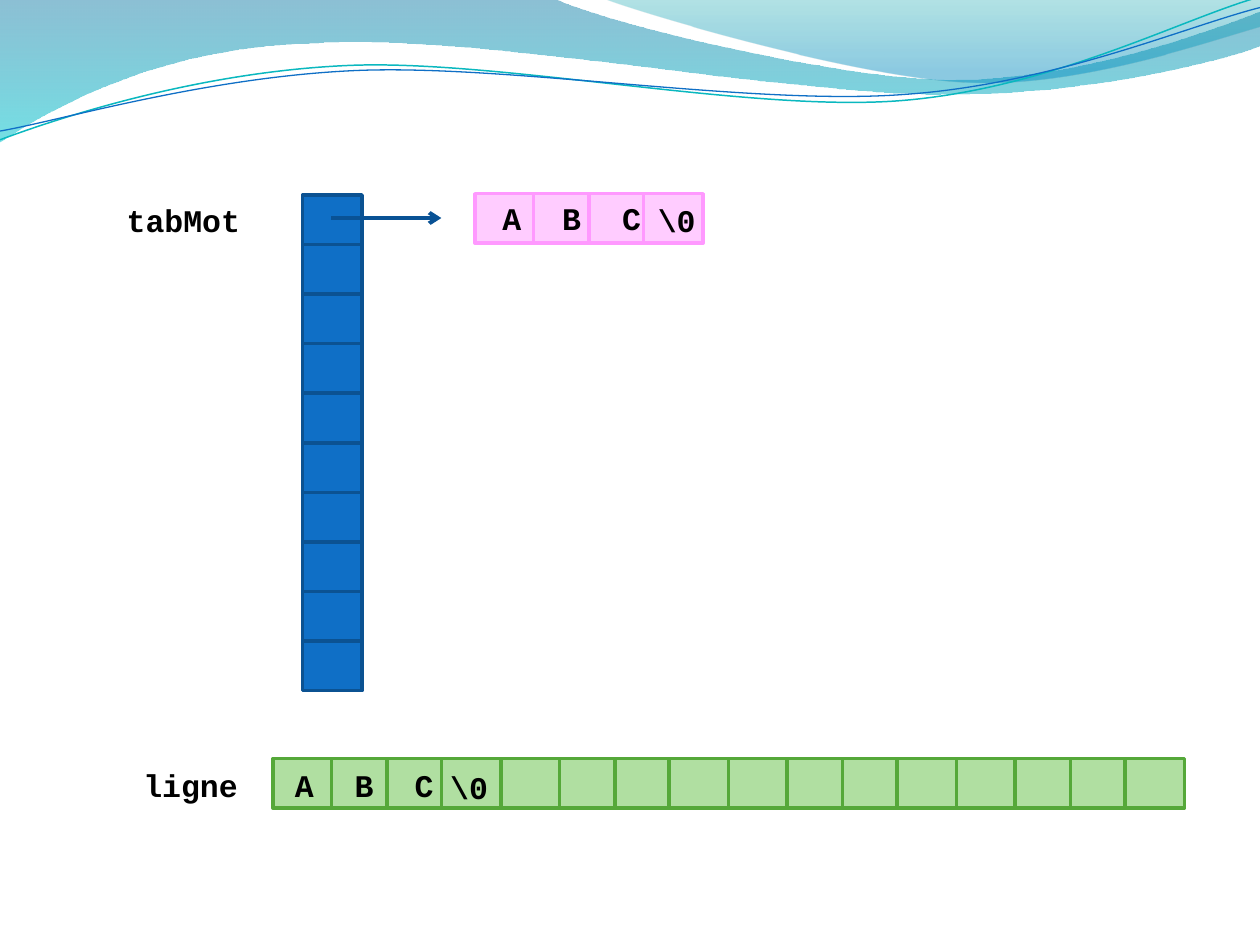
import math
from dataclasses import dataclass

from lxml import etree
from pptx import Presentation
from pptx.dml.color import RGBColor
from pptx.enum import shapes, text
from pptx.oxml import ns
from pptx.util import Pt


@dataclass(frozen=True)
class Theme:
    font: str = "Courier New"
    size: float = 18
    ink: str = "000000"
    border: float = 2
    pointers: tuple = ("0F6FC6", "0B5292")
    word: tuple = ("FFCCFF", "FF99FF")
    line: tuple = ("B0DFA1", "55A839")
    arrow: str = "095295"
    # Gradient stops: position, colour, opacity in percent
    wide_wave: tuple = ((0, "0074A1", 45), (1, "00C6CF", 55))
    right_wave: tuple = ((0, "00A1A9", 30), (0.8, "008BBF", 45))
    teal_strand: tuple = ("0AB8BF", 0.85)
    blue_strand: tuple = ("0F6FC6", 0.75)


THEME = Theme()
CELL_W, CELL_H = 34, 28.33
CELL_STEPS = (0, 33.4, 65.1, 96.2)
GROUP_PITCH = 130.2
STRAND_TURN = 357.3

# Wave frames, then outlines: two numbers are a straight step, six a cubic curve
WIDE_WAVE = (-0.7, -0.7, 721.4, 82.1), [
    (0, 0), (316.8, -0.7), (342.7, 12.2, 478.1, 45.4, 545.8, 45.4),
    (614.2, 45.4, 689.8, 18.7, 720, 6.5), (720.7, 25.9),
    (707.8, 31.7, 626.4, 54.7, 537.1, 54), (447.8, 54, 275, 20.2, 185, 24.5),
    (92.9, 25.9, 33.1, 59.8, -0.7, 81.4), (0, 0)]
RIGHT_WAVE = (344.9, -0.7, 375.1, 50.4), [
    (344.9, -0.7), (366.5, 7.9, 491, 44.6, 553.7, 46.8),
    (616.3, 49.7, 691.9, 23, 720, 15.1), (720, 0), (344.9, -0.7)]
TEAL_STRAND = (-1.4, 15.8, 721.4, 51.1), [
    (0, 79.9), (34.6, 67, 113.8, 41, 199.4, 37.4),
    (284.4, 33.8, 427, 64.1, 513.4, 57.6), (599.8, 51.1, 675.4, 10.8, 718.6, -1.4)]
BLUE_STRAND = (-1.4, 21.6, 722.2, 41.8), [
    (0, 74.9), (33.8, 69.1, 118.1, 43.9, 203.8, 40.3),
    (290.2, 36.7, 429.8, 60.5, 516.2, 54), (601.9, 48.2, 677.5, 15.1, 720, 4.3)]


def rgb(value):
    return RGBColor.from_string(value)


def apply(target, formats):
    for name, value in formats.items():
        setattr(target, name, value)


def add_outline(slide, left, top, wave, turn=0):
    """Draw a curved outline in its frame, turned about the frame's centre."""
    (x0, y0, width, height), outline = wave
    builder = slide.shapes.build_freeform(0, 0, scale=Pt(1))
    builder.add_line_segments([(100, 100)], close=False)
    shape = builder.convert_to_shape()
    apply(shape, {"left": Pt(left + x0), "top": Pt(top + y0),
                  "width": Pt(width), "height": Pt(height), "rotation": turn})
    shape.shadow.inherit = False

    # Cubic segments, in hundredths of a point within the unturned frame
    cos, sin = math.cos(math.radians(-turn)), math.sin(math.radians(-turn))
    route = next(shape._element.iter(ns.qn("a:path")))
    for old in list(route):
        route.remove(old)
    route.set("w", str(round(width * 100)))
    route.set("h", str(round(height * 100)))
    for i, part in enumerate(outline):
        kind = "a:moveTo" if i == 0 else "a:lnTo" if len(part) == 2 else "a:cubicBezTo"
        segment = etree.SubElement(route, ns.qn(kind))
        for x, y in zip(part[::2], part[1::2]):
            dx, dy = x - x0 - width / 2, y - y0 - height / 2
            point = etree.SubElement(segment, ns.qn("a:pt"))
            point.set("x", str(round((width / 2 + dx * cos - dy * sin) * 100)))
            point.set("y", str(round((height / 2 + dx * sin + dy * cos) * 100)))
    if outline[0] == outline[-1]:
        etree.SubElement(route, ns.qn("a:close"))
    return shape


def add_waves(slide, left, top):
    # Translucent bands
    for wave, stops in ((WIDE_WAVE, THEME.wide_wave), (RIGHT_WAVE, THEME.right_wave)):
        band = add_outline(slide, left, top, wave)
        band.line.fill.background()
        band.fill.gradient()
        band.fill.gradient_angle = 270
        for stop, (position, colour, _) in zip(band.fill.gradient_stops, stops):
            stop.position = position
            stop.color.rgb = rgb(colour)
        tints = list(band._element.spPr.iter(ns.qn("a:srgbClr")))
        for tint, (_, _, opacity) in zip(tints, stops):
            etree.SubElement(tint, ns.qn("a:alpha")).set("val", str(opacity * 1000))
    # Thin strands
    for wave, (colour, width) in ((TEAL_STRAND, THEME.teal_strand),
                                  (BLUE_STRAND, THEME.blue_strand)):
        strand = add_outline(slide, left, top, wave, STRAND_TURN)
        strand.fill.background()
        strand.line.color.rgb = rgb(colour)
        strand.line.width = Pt(width)


def add_cell(slide, left, top, colours):
    cell = slide.shapes.add_shape(shapes.MSO_SHAPE.RECTANGLE,
                                  Pt(left), Pt(top), Pt(CELL_W), Pt(CELL_H))
    cell.shadow.inherit = False
    cell.fill.solid()
    cell.fill.fore_color.rgb = rgb(colours[0])
    cell.line.color.rgb = rgb(colours[1])
    cell.line.width = Pt(THEME.border)


def add_label(slide, left, top, width, wording, align=text.PP_ALIGN.LEFT):
    label = slide.shapes.add_textbox(Pt(left), Pt(top), Pt(width), Pt(29))
    apply(label.text_frame, {"word_wrap": True,
                             "auto_size": text.MSO_AUTO_SIZE.SHAPE_TO_FIT_TEXT})
    paragraph = label.text_frame.paragraphs[0]
    paragraph.alignment = align
    run = paragraph.add_run()
    run.text = wording
    apply(run.font, {"name": THEME.font, "size": Pt(THEME.size), "bold": True})
    run.font.color.rgb = rgb(THEME.ink)


def add_pointer_column(slide, left, top, count):
    for row in range(count):
        add_cell(slide, left, top + row * CELL_H, THEME.pointers)


def add_char_row(slide, left, top, groups, colours, text_dx, text_dy):
    for group in range(groups):
        for step in CELL_STEPS:
            add_cell(slide, left + group * GROUP_PITCH + step, top, colours)
    # Characters, ending with the terminator
    for wording, dx, dy, width in (("A", 0, 0, 17.3), ("B", 34.2, 0, 17.3),
                                   ("C", 68.4, 0, 17.3), ("\\0", 82.6, 1, 48.2)):
        add_label(slide, left + text_dx + dx, top + text_dy + dy, width,
                  wording, text.PP_ALIGN.CENTER)


def add_pointer_arrow(slide, left, top, length):
    arrow = slide.shapes.add_connector(shapes.MSO_CONNECTOR.STRAIGHT,
                                       Pt(left), Pt(top), Pt(left + length), Pt(top))
    arrow.line.color.rgb = rgb(THEME.arrow)
    arrow.line.width = Pt(2.25)
    properties = arrow._element.spPr
    etree.SubElement(properties.find(ns.qn("a:ln")), ns.qn("a:tailEnd")).set("type", "arrow")
    etree.SubElement(properties, ns.qn("a:effectLst"))


deck = Presentation()
apply(deck, {"slide_width": Pt(720), "slide_height": Pt(540)})
slide = deck.slides.add_slide(deck.slide_layouts[6])

add_waves(slide, 0, 0)
# Table of pointers
add_pointer_column(slide, 172.9, 111.4, 10)
add_label(slide, 65.3, 111.2, 79.2, "tabMot")
# Line buffer
add_label(slide, 74.8, 434.2, 79.2, "ligne")
add_char_row(slide, 156, 433.5, 4, THEME.line, 5.4, 0.7)
# First word
add_char_row(slide, 271.5, 110.7, 1, THEME.word, 8.5, -0.5)
add_pointer_arrow(slide, 189.4, 124.6, 62.8)

deck.save("out.pptx")
